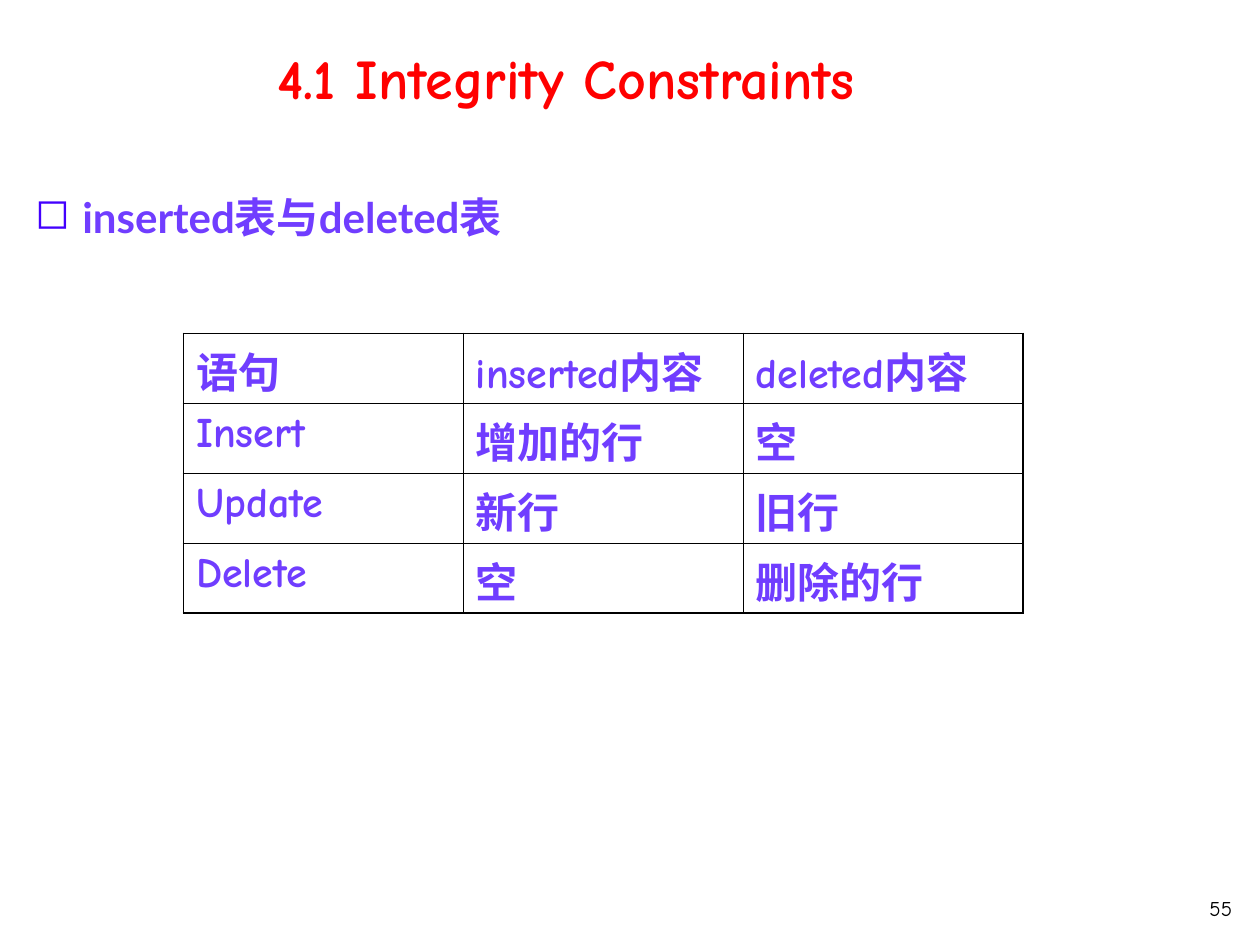
"""Build the slide on integrity constraints with the inserted and deleted tables."""
from lxml import etree
from pptx import Presentation, util as u
from pptx.dml.color import RGBColor
from pptx.enum import text
from pptx.oxml.ns import qn

COLORS = {"title": "FF0000", "body": "703DFF", "bullet": "4300FE", "ink": "000000"}
TITLE = "4.1 Integrity Constraints"
TOPIC = "inserted表与deleted表"
PAGE = "55"
ROWS = [
    ("语句", "inserted内容", "deleted内容"),
    ("Insert", "增加的行", "空"),
    ("Update", "新行", "旧行"),
    ("Delete", "空", "删除的行"),
]
TABLE_LEFT, TABLE_TOP = 3.7, 6.72
COLUMN_WIDTH, ROW_HEIGHT = 5.64, 1.41
OUTER, INNER = 1.08, 0.45


def style(paragraph, size, color, font="Comic Neue", bold=True):
    paragraph.font.name = font
    paragraph.font.size = u.Pt(size)
    paragraph.font.bold = bold
    paragraph.font.color.rgb = RGBColor.from_string(COLORS[color])


def add_text(slide, content, box, align, anchor=text.MSO_ANCHOR.TOP):
    frame = slide.shapes.add_textbox(*map(u.Cm, box)).text_frame
    frame.word_wrap = True
    frame.vertical_anchor = anchor
    paragraph = frame.paragraphs[0]
    paragraph.text = content
    paragraph.alignment = align
    return paragraph


def add_bullet(paragraph, character, indent):
    properties = paragraph._p.get_or_add_pPr()
    properties.set("marL", str(indent))
    properties.set("indent", str(-indent))
    color = etree.SubElement(properties, qn("a:buClr"))
    etree.SubElement(color, qn("a:srgbClr"), val=COLORS["bullet"])
    etree.SubElement(properties, qn("a:buChar"), char=character)


def set_borders(cell, widths):
    properties = cell._tc.get_or_add_tcPr()
    for index, (side, width) in enumerate(widths.items()):
        line = etree.Element(qn(f"a:ln{side}"), w=str(u.Pt(width)))
        fill = etree.SubElement(line, qn("a:solidFill"))
        etree.SubElement(fill, qn("a:srgbClr"), val=COLORS["ink"])
        properties.insert(index, line)


def add_statement_table(slide):
    last_row, last_column = len(ROWS) - 1, len(ROWS[0]) - 1
    table = slide.shapes.add_table(
        len(ROWS), len(ROWS[0]), u.Cm(TABLE_LEFT), u.Cm(TABLE_TOP),
        u.Cm(COLUMN_WIDTH * len(ROWS[0])), u.Cm(ROW_HEIGHT * len(ROWS)),
    ).table
    table.first_row = table.horz_banding = False
    for column in table.columns:
        column.width = u.Cm(COLUMN_WIDTH)
    for r, values in enumerate(ROWS):
        table.rows[r].height = u.Cm(ROW_HEIGHT)
        for c, value in enumerate(values):
            cell = table.cell(r, c)
            cell.text = value
            cell.fill.background()
            style(cell.text_frame.paragraphs[0], 24, "body")
            edges = {"L": c == 0, "R": c == last_column, "T": r == 0, "B": r == last_row}
            set_borders(cell, {side: OUTER if edge else INNER for side, edge in edges.items()})


def main():
    presentation = Presentation()
    presentation.slide_width, presentation.slide_height = u.Cm(25.4), u.Cm(19.05)
    slide = presentation.slides.add_slide(presentation.slide_layouts[6])

    page = add_text(slide, PAGE, (19.25, 17.93, 5.84, 1.09), text.PP_ALIGN.RIGHT)
    style(page, 12, "ink", bold=False)

    topic = add_text(slide, TOPIC, (0.46, 3.53, 22.81, 14.73), text.PP_ALIGN.LEFT)
    topic.line_spacing = 1.2
    add_bullet(topic, "◻", u.Cm(0.95))
    style(topic, 24, "body", font="Lato")

    title = add_text(slide, TITLE, (0.81, 0.33, 21.21, 2.03),
                     text.PP_ALIGN.CENTER, text.MSO_ANCHOR.BOTTOM)
    style(title, 32, "title")

    add_statement_table(slide)
    presentation.save("out.pptx")


if __name__ == "__main__":
    main()
